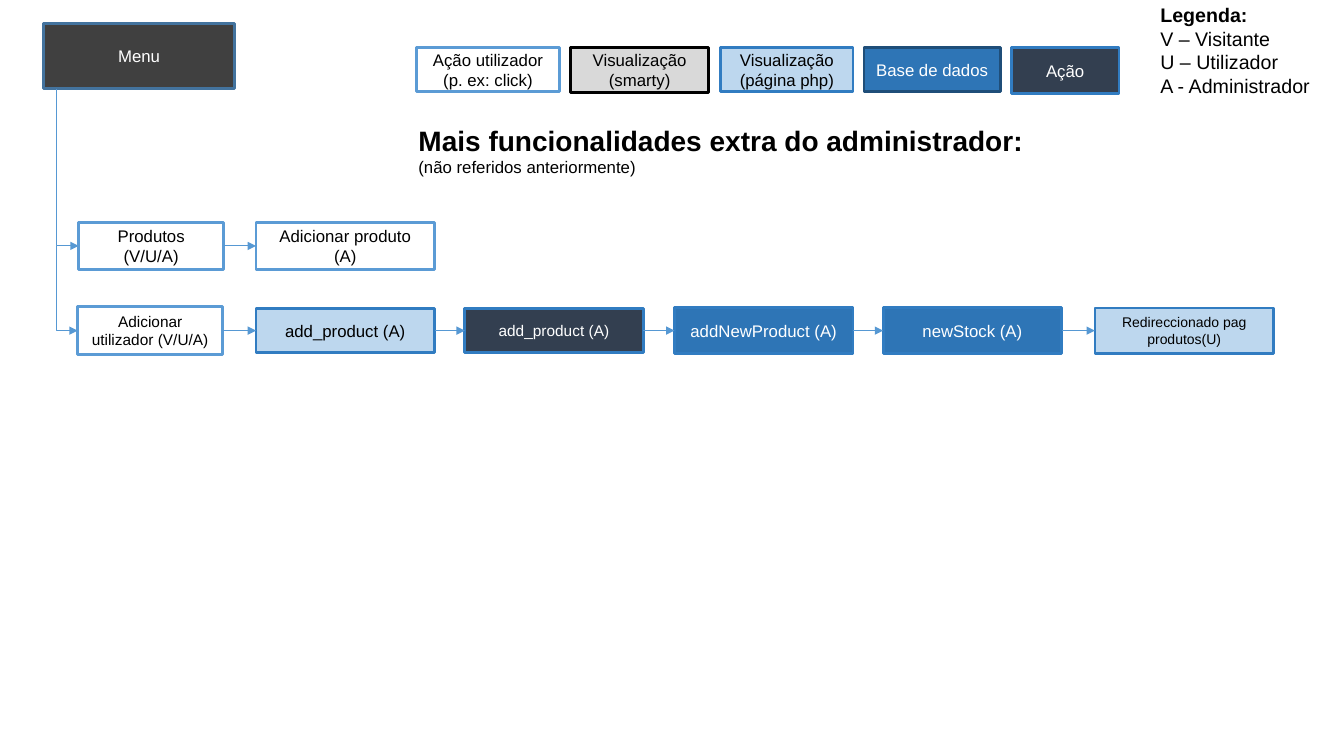
from lxml import etree
from pptx import Presentation
from pptx.dml.color import RGBColor as Color
from pptx.enum.shapes import MSO_CONNECTOR as Connector, MSO_SHAPE as Shape
from pptx.enum.text import MSO_ANCHOR as Anchor, MSO_AUTO_SIZE as AutoSize, PP_ALIGN as Align
from pptx.oxml.ns import qn
from pptx.util import Inches, Pt

COLORS = {
    "white": "FFFFFF", "black": "000000", "charcoal": "404040", "steel": "43739E",
    "sky": "5B9BD5", "arrow": "5698D3", "pale": "BDD7EE", "blue": "317CC1",
    "navy": "333F50", "ocean": "2E75B6", "deep": "1F4E79", "gray": "D9D9D9",
}
KINDS = {
    "menu": ("charcoal", "steel", "white"),
    "click": ("white", "sky", "black"),
    "smarty": ("gray", "black", "black"),
    "page": ("pale", "blue", "black"),
    "database": ("ocean", "deep", "white"),
    "query": ("ocean", "blue", "white"),
    "action": ("navy", "blue", "white"),
}


class FlowSlide:
    font = "Arial"

    def __init__(self, presentation):
        self.slide = presentation.slides.add_slide(presentation.slide_layouts[5])

    def color(self, name):
        return Color.from_string(COLORS[name])

    def run(self, paragraph, text, size, color="black", bold=False):
        run = paragraph.add_run()
        run.text = text
        run.font.name = self.font
        run.font.size = Pt(size)
        run.font.bold = bold
        run.font.color.rgb = self.color(color)

    def title(self, left, top, width, height, runs):
        title = self.slide.shapes.title
        title.left, title.top = Inches(left), Inches(top)
        title.width, title.height = Inches(width), Inches(height)
        frame = title.text_frame
        frame.word_wrap = True
        frame.auto_size = AutoSize.NONE
        frame.vertical_anchor = Anchor.TOP
        paragraph = frame.paragraphs[0]
        paragraph.alignment = Align.LEFT
        paragraph.line_spacing = 1.0
        paragraph.space_before = Pt(0)
        for text, size, bold in runs:
            self.run(paragraph, text, size, bold=bold)

    def text(self, left, top, width, height, lines, size):
        box = self.slide.shapes.add_textbox(Inches(left), Inches(top), Inches(width), Inches(height))
        frame = box.text_frame
        frame.word_wrap = True
        for index, line in enumerate(lines):
            paragraph = frame.add_paragraph() if index else frame.paragraphs[0]
            self.run(paragraph, line, size, bold=index == 0)

    def box(self, kind, text, left, top, width, height, size=12):
        fill, line, color = KINDS[kind]
        shape = self.slide.shapes.add_shape(
            Shape.RECTANGLE, Inches(left), Inches(top), Inches(width), Inches(height))
        shape.shadow.inherit = False
        shape.fill.solid()
        shape.fill.fore_color.rgb = self.color(fill)
        shape.line.color.rgb = self.color(line)
        shape.line.width = Pt(2)
        frame = shape.text_frame
        frame.word_wrap = True
        frame.vertical_anchor = Anchor.MIDDLE
        paragraph = frame.paragraphs[0]
        paragraph.alignment = Align.CENTER
        self.run(paragraph, text, size, color)
        return shape

    def arrow(self, kind, x1, y1, x2, y2):
        connector = self.slide.shapes.add_connector(
            kind, Inches(x1), Inches(y1), Inches(x2), Inches(y2))
        connector.line.color.rgb = self.color("arrow")
        connector.line.width = Pt(0.75)
        properties = connector._element.spPr
        etree.SubElement(properties.find(qn("a:ln")), qn("a:tailEnd"), type="triangle")
        etree.SubElement(properties, qn("a:effectLst"))
        return connector

    def link(self, source, target):
        connector = self.arrow(Connector.STRAIGHT, 0, 0, 1, 1)
        connector.begin_connect(source, 3)
        connector.end_connect(target, 1)

    def branch(self, x1, y1, x2, y2):
        across, down = (x2 - x1) / 2, (y2 - y1) / 2
        x, y = x1 + across, y1 + down
        connector = self.arrow(Connector.ELBOW, x + down, y - across, x - down, y + across)
        properties = connector._element.spPr
        properties.find(qn("a:xfrm")).set("rot", "16200000")
        properties.find(qn("a:prstGeom")).set("prst", "bentConnector2")

    def flow(self, middle, steps):
        previous = None
        for kind, text, left, width, height, size in steps:
            shape = self.box(kind, text, left, middle - height / 2, width, height, size)
            if previous is not None:
                self.link(previous, shape)
            previous = shape


def main():
    presentation = Presentation()
    presentation.slide_width, presentation.slide_height = Inches(13.33), Inches(7.5)
    page = FlowSlide(presentation)

    page.title(4.05, 1.17, 6.55, 0.64, [
        ("Mais funcionalidades extra do administrador: ", 20, True),
        ("(não referidos anteriormente)", 12, False),
    ])
    page.text(11.41, -0.02, 1.84, 1.04,
              ["Legenda:", "V – Visitante", "U – Utilizador", "A - Administrador"], 14)

    for kind, text, left, width, height in [
        ("click", "Ação utilizador (p. ex: click)", 4.13, 1.42, 0.44),
        ("smarty", "Visualização (smarty)", 5.66, 1.37, 0.45),
        ("page", "Visualização (página php)", 7.15, 1.31, 0.44),
        ("database", "Base de dados", 8.57, 1.35, 0.44),
        ("action", "Ação", 10.03, 1.07, 0.46),
    ]:
        page.box(kind, text, left, 0.47, width, height)

    page.box("menu", "Menu", 0.43, 0.23, 1.9, 0.65)
    trunk, menu_bottom, products, users = 0.56, 0.88, 2.44, 3.28
    page.branch(trunk, menu_bottom, 0.78, products)
    page.branch(trunk, products, 0.77, users)

    page.flow(products, [
        ("click", "Produtos (V/U/A)", 0.78, 1.44, 0.47, 12),
        ("click", "Adicionar produto (A)", 2.54, 1.77, 0.47, 12),
    ])
    page.flow(users, [
        ("click", "Adicionar utilizador (V/U/A)", 0.77, 1.44, 0.47, 11),
        ("page", "add_product (A)", 2.54, 1.77, 0.44, 12),
        ("action", "add_product (A)", 4.61, 1.77, 0.44, 11),
        ("query", "addNewProduct (A)", 6.69, 1.77, 0.46, 12),
        ("query", "newStock (A)", 8.76, 1.77, 0.46, 12),
        ("page", "Redireccionado pag produtos(U)", 10.86, 1.77, 0.45, 10),
    ])
    presentation.save("out.pptx")


if __name__ == "__main__":
    main()
